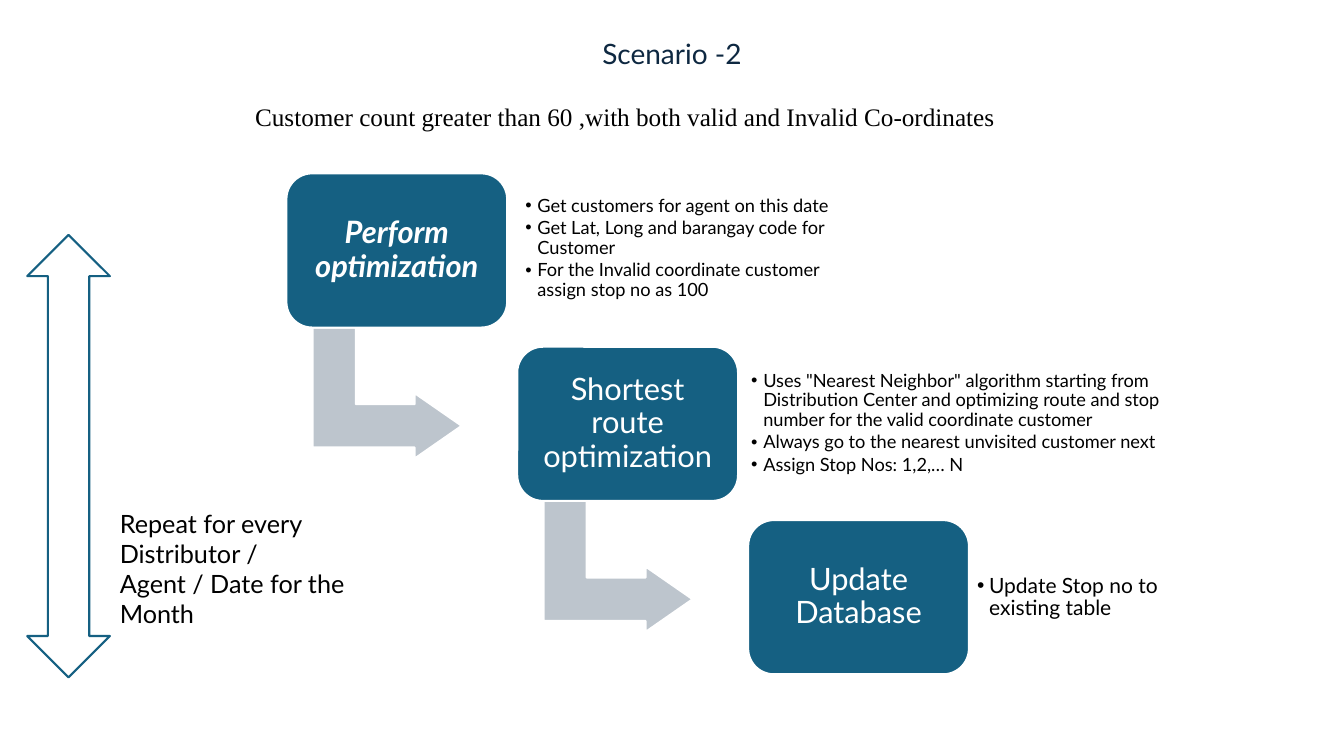
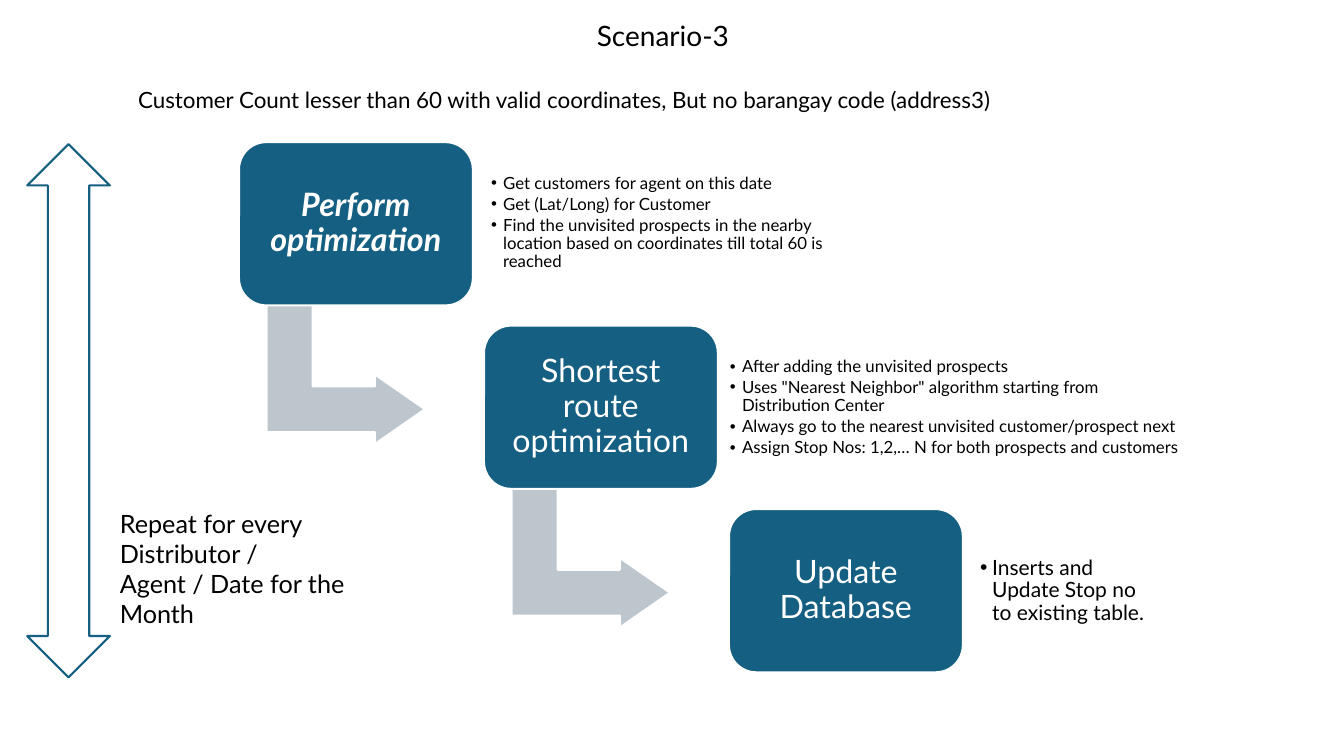
"""Build two staircase slides describing route optimization scenarios."""
from lxml import etree
from pptx import Presentation
from pptx import util as u
from pptx.dml.color import RGBColor
from pptx.enum import shapes, text
from pptx.oxml.ns import qn

PX = 9144
TEAL = RGBColor(0x15, 0x60, 0x82)
GREY = RGBColor(0xBD, 0xC5, 0xCD)
NAVY = RGBColor(0x0E, 0x28, 0x41)
WHITE = RGBColor(0xFF, 0xFF, 0xFF)
BLACK = RGBColor(0x00, 0x00, 0x00)
SANS = "Lato"
SERIF = "Times New Roman"
COMPARISON_LAYOUT = 4
SUBTITLE_IDX = 1

SCENARIOS = [
    dict(
        title=dict(content="Scenario -2", box=(0, 31, 1333, 43), color=NAVY),
        subtitle=dict(
            content="Customer count greater than 60 ,with both valid and Invalid Co-ordinates",
            box=(243, 96, 1000, 40), size=18, font=SERIF),
        stairs=dict(start=(284, 172), size=(219, 153), step=(229, 172), label_size=22, inset=9),
        repeat_top=233,
        steps=[
            dict(label="Perform optimization", box=(514, 168, 358, 157), size=13, points=[
                "Get customers for agent on this date",
                "Get Lat, Long and barangay code for Customer",
                "For the Invalid coordinate customer assign stop no as 100"]),
            dict(label="Shortest route optimization", box=(738, 358, 435, 124), size=13, points=[
                'Uses "Nearest Neighbor" algorithm starting from Distribution Center and '
                "optimizing route and stop number for the valid coordinate customer",
                "Always go to the nearest unvisited customer next",
                "Assign Stop Nos: 1,2,… N"]),
            dict(label="Update Database", box=(962, 549, 210, 88), size=15, points=[
                "Update Stop no to existing table"]),
        ],
    ),
    dict(
        title=dict(content="Scenario-3", box=(70, 14, 1175, 43), color=BLACK),
        subtitle=dict(
            content="Customer Count lesser than 60 with valid coordinates, "
                    "But no barangay code (address3)",
            box=(127, 79, 1000, 40), size=16, font=SANS),
        stairs=dict(start=(237, 141), size=(232, 162), step=(243, 182), label_size=23, inset=10),
        repeat_top=143,
        steps=[
            dict(label="Perform optimization", box=(480, 138, 380, 167), size=12, points=[
                "Get customers for agent on this date",
                "Get (Lat/Long) for Customer",
                "Find the unvisited prospects in the nearby location based on "
                "coordinates till total 60 is reached"]),
            dict(label="Shortest route optimization", box=(717, 339, 461, 131), size=12, points=[
                "After adding the unvisited prospects",
                'Uses "Nearest Neighbor" algorithm starting from Distribution Center',
                "Always go to the nearest unvisited customer/prospect next",
                "Assign Stop Nos: 1,2,… N for both prospects and customers"]),
            dict(label="Update Database", box=(965, 535, 190, 103), size=15, points=[
                "Inserts and Update Stop no to existing table."]),
        ],
    ),
]


def emu(box):
    return [round(length) * PX for length in box]


def place(shape, box):
    shape.left, shape.top, shape.width, shape.height = emu(box)


def write(shape, lines, *, size, color=BLACK, font=SANS, bold=False, italic=False,
          align=text.PP_ALIGN.LEFT, anchor=text.MSO_ANCHOR.MIDDLE,
          inset=(10, 5), spacing=1.0, after=0, bullet=False):
    frame = shape.text_frame
    frame.word_wrap = True
    frame.auto_size = text.MSO_AUTO_SIZE.NONE
    frame.vertical_anchor = anchor
    frame.margin_left = frame.margin_right = inset[0] * PX
    frame.margin_top = frame.margin_bottom = inset[1] * PX
    for number, line in enumerate(lines):
        paragraph = frame.add_paragraph() if number else frame.paragraphs[0]
        paragraph.alignment = align
        paragraph.line_spacing = spacing
        paragraph.space_before = u.Pt(0)
        paragraph.space_after = u.Pt(after)
        run = paragraph.add_run()
        run.text = line
        run.font.size = u.Pt(size)
        run.font.name = font
        run.font.bold = bold
        run.font.italic = italic
        run.font.color.rgb = color
        indent = 12 * PX if bullet else 0
        properties = paragraph._p.get_or_add_pPr()
        properties.set("marL", str(indent))
        properties.set("indent", str(-indent))
        if bullet:
            etree.SubElement(properties, qn("a:buChar")).set("char", "•")
        else:
            etree.SubElement(properties, qn("a:buNone"))


class Deck:
    def __init__(self):
        self.presentation = Presentation()
        self.presentation.slide_width, self.presentation.slide_height = emu((1333, 750))
        self.slide = None

    def new_slide(self):
        layout = self.presentation.slide_layouts[COMPARISON_LAYOUT]
        self.slide = self.presentation.slides.add_slide(layout)

    def title(self, content, box, color):
        heading = self.slide.shapes.title
        place(heading, box)
        write(heading, [content], size=20, color=color, align=text.PP_ALIGN.CENTER)

    def subtitle(self, content, box, size, font):
        condition = self.slide.placeholders[SUBTITLE_IDX]
        place(condition, box)
        write(condition, [content], size=size, font=font)

    def points(self, idx, lines, box, size):
        details = self.slide.placeholders[idx]
        place(details, box)
        write(details, lines, size=size, inset=(7, 7), spacing=0.9, after=2, bullet=True)

    def shape(self, kind, box, fill, line=WHITE):
        drawn = self.slide.shapes.add_shape(kind, *emu(box))
        drawn.shadow.inherit = False
        drawn.fill.solid()
        drawn.fill.fore_color.rgb = fill
        drawn.line.color.rgb = line
        drawn.line.width = u.Pt(1.5)
        return drawn

    def step_box(self, label, box, size, inset, emphasis):
        step = self.shape(shapes.MSO_SHAPE.ROUNDED_RECTANGLE, box, TEAL)
        write(step, [label], size=size, color=WHITE, bold=emphasis, italic=emphasis,
              align=text.PP_ALIGN.CENTER, inset=(inset, inset), spacing=0.9)

    def bent_arrow(self, left, top, width, height):
        box = (left + 0.16 * width, top + 0.94 * height, 0.85 * height, 0.97 * height)
        arrow = self.shape(shapes.MSO_SHAPE.BENT_UP_ARROW, box, GREY)
        arrow.rotation = 90
        for number, value in enumerate((0.33, 0.25, 0.36)):
            arrow.adjustments[number] = value

    def staircase(self, steps, start, size, step, label_size, inset):
        for number, stair in enumerate(steps):
            box = (start[0] + number * step[0], start[1] + number * step[1], *size)
            if number < len(steps) - 1:
                self.bent_arrow(*box)
            self.step_box(stair["label"], box, label_size, inset, emphasis=number == 0)
            self.points(SUBTITLE_IDX + 1 + number, stair["points"], stair["box"], stair["size"])

    def repeat_note(self, top):
        self.shape(shapes.MSO_SHAPE.UP_DOWN_ARROW, (27, top, 82, 672 - top), WHITE, TEAL)
        note = self.slide.shapes.add_textbox(*emu((109, 499, 244, 130)))
        write(note, ["Repeat for every Distributor /", "Agent / Date for the Month"],
              size=18, anchor=text.MSO_ANCHOR.TOP)


def main():
    deck = Deck()
    for scenario in SCENARIOS:
        deck.new_slide()
        deck.title(**scenario["title"])
        deck.subtitle(**scenario["subtitle"])
        deck.staircase(scenario["steps"], **scenario["stairs"])
        deck.repeat_note(scenario["repeat_top"])
    deck.presentation.save("out.pptx")


if __name__ == "__main__":
    main()
